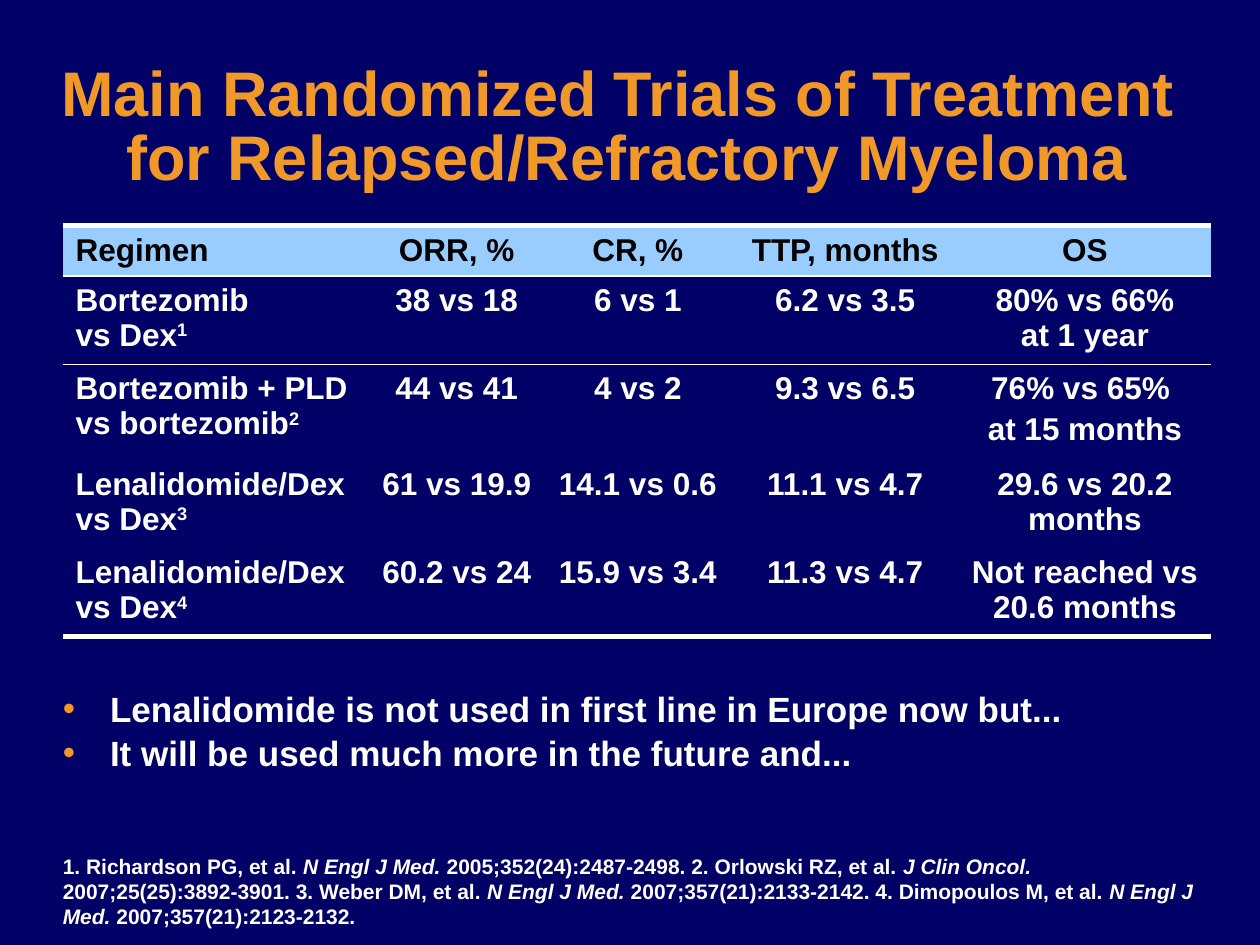
from lxml import etree
from pptx import Presentation
from pptx import util as u
from pptx.dml.color import RGBColor
from pptx.enum import text
from pptx.oxml import ns

Pt = u.Pt
COLORS = {"navy": "000066", "orange": "F09828", "sky": "99CCFF",
          "white": "FFFFFF", "black": "000000"}


def add_xml(parent, xml, index=None):
    """Put a DrawingML element into parent, last unless an index is given."""
    el = etree.fromstring(f'<a:x {ns.nsdecls("a")}>{xml}</a:x>')[0]
    parent.insert(len(parent) if index is None else index, el)


def add_run(p, words, size, color, italic=False):
    """Add a bold Arial run; a newline in words becomes a line break."""
    for i, line in enumerate(words.split("\n")):
        if i:
            p.add_line_break()
        r = p.add_run()
        r.text = line
        r.font.name = "Arial"
        r.font.size = Pt(size)
        r.font.bold = True
        r.font.italic = italic
        r.font.color.rgb = RGBColor.from_string(COLORS[color])
    return r


prs = Presentation()
prs.slide_width, prs.slide_height = Pt(720), Pt(540)
s = prs.slides.add_slide(prs.slide_layouts[6])
s.background.fill.solid()
s.background.fill.fore_color.rgb = RGBColor.from_string(COLORS["navy"])

# Title
title = s.shapes.add_textbox(Pt(7.2), Pt(38), Pt(702), Pt(72))
tf = title.text_frame
tf.word_wrap = True
tf.vertical_anchor = text.MSO_ANCHOR.MIDDLE
p = tf.paragraphs[0]
p.alignment = text.PP_ALIGN.CENTER
p.line_spacing = 0.85
add_run(p, "Main Randomized Trials of Treatment \nfor Relapsed/Refractory Myeloma",
        36, "orange")
for r in p.runs:
    add_xml(r.font._element,
            '<a:effectLst><a:outerShdw blurRad="38100" dist="38100" dir="2700000">'
            f'<a:srgbClr val="{COLORS["black"]}"/></a:outerShdw></a:effectLst>', 1)

# Trial results: a caret marks the reference number, each list item is a paragraph
rows = [
    ["Regimen", "ORR, %", "CR, %", "TTP, months", "OS"],
    ["Bortezomib\nvs Dex^1", "38 vs 18", "6 vs 1", "6.2 vs 3.5",
     "80% vs 66%\nat 1 year"],
    ["Bortezomib + PLD vs bortezomib^2", "44 vs 41", "4 vs 2", "9.3 vs 6.5",
     ["76% vs 65% ", "at 15 months"]],
    ["Lenalidomide/Dex\nvs Dex^3", "61 vs 19.9", "14.1 vs 0.6", "11.1 vs 4.7",
     "29.6 vs 20.2 months"],
    ["Lenalidomide/Dex\nvs Dex^4", "60.2 vs 24", "15.9 vs 3.4", "11.3 vs 4.7",
     "Not reached vs 20.6 months"],
]
col_widths = [175, 100, 107, 130, 144]
row_heights = [28.8, 50.4, 54.7, 50.4, 50.4]
borders = {0: {"T": 3, "B": 1}, 1: {"T": 1}, len(rows) - 1: {"B": 3}}

frame = s.shapes.add_table(len(rows), len(col_widths), Pt(36), Pt(129),
                           Pt(sum(col_widths)), Pt(sum(row_heights)))
table = frame.table
table.first_row = table.horz_banding = False
NO_STYLE = "{2D5ABB26-0587-4C30-8999-92F81FD0307C}"
table._tbl.tblPr.find(ns.qn("a:tableStyleId")).text = NO_STYLE
for col, width in zip(table.columns, col_widths):
    col.width = Pt(width)
for row, height in zip(table.rows, row_heights):
    row.height = Pt(height)

for i, row in enumerate(rows):
    for j, content in enumerate(row):
        cell = table.cell(i, j)
        if i == 0:
            cell.vertical_anchor = text.MSO_ANCHOR.MIDDLE
            cell.fill.solid()
            cell.fill.fore_color.rgb = RGBColor.from_string(COLORS["sky"])
        else:
            cell.fill.background()
        color = "white" if i else "black"
        lines = content if isinstance(content, list) else [content]
        for k, line in enumerate(lines):
            p = cell.text_frame.add_paragraph() if k else cell.text_frame.paragraphs[0]
            if k:
                p.space_before = Pt(3.6)
            if j:
                p.alignment = text.PP_ALIGN.CENTER
            words, _, ref = line.partition("^")
            add_run(p, words, 18, color)
            if ref:
                add_run(p, ref, 18, color).font._element.set("baseline", "30000")
        for n, (side, width) in enumerate(borders.get(i, {}).items()):
            add_xml(cell._tc.tcPr,
                    f'<a:ln{side} w="{Pt(width)}"><a:solidFill>'
                    f'<a:srgbClr val="{COLORS["white"]}"/></a:solidFill></a:ln{side}>', n)

# References
refs = s.shapes.add_textbox(Pt(28.8), Pt(484), Pt(664), Pt(51))
refs.text_frame.word_wrap = True
p = refs.text_frame.paragraphs[0]
for words, italic in [
    ("1. Richardson PG, et al. ", False),
    ("N Engl J Med.", True),
    (" 2005;352(24):2487-2498. 2. Orlowski RZ, et al. ", False),
    ("J Clin Oncol. ", True),
    ("2007;25(25):3892-3901. 3. Weber DM, et al. ", False),
    ("N Engl J Med. ", True),
    ("2007;357(21):2133-2142. 4. Dimopoulos M, et al. ", False),
    ("N Engl J Med. ", True),
    ("2007;357(21):2123-2132.", False),
]:
    add_run(p, words, 12, "white", italic)

# Closing remarks
remarks = s.shapes.add_textbox(Pt(28.8), Pt(388), Pt(670), Pt(55.4))
tf = remarks.text_frame
tf.word_wrap = True
for i, words in enumerate([
    "Lenalidomide is not used in first line in Europe now but...",
    "It will be used much more in the future and...",
]):
    p = tf.add_paragraph() if i else tf.paragraphs[0]
    p.line_spacing = 1.05
    pPr = p._p.get_or_add_pPr()
    pPr.set("marL", str(Pt(27)))
    pPr.set("indent", str(-Pt(27)))
    add_xml(pPr, f'<a:buClr><a:srgbClr val="{COLORS["orange"]}"/></a:buClr>')
    add_xml(pPr, '<a:buFont typeface="Arial"/>')
    add_xml(pPr, '<a:buChar char="•"/>')
    add_run(p, words, 20, "white")

prs.save("out.pptx")
